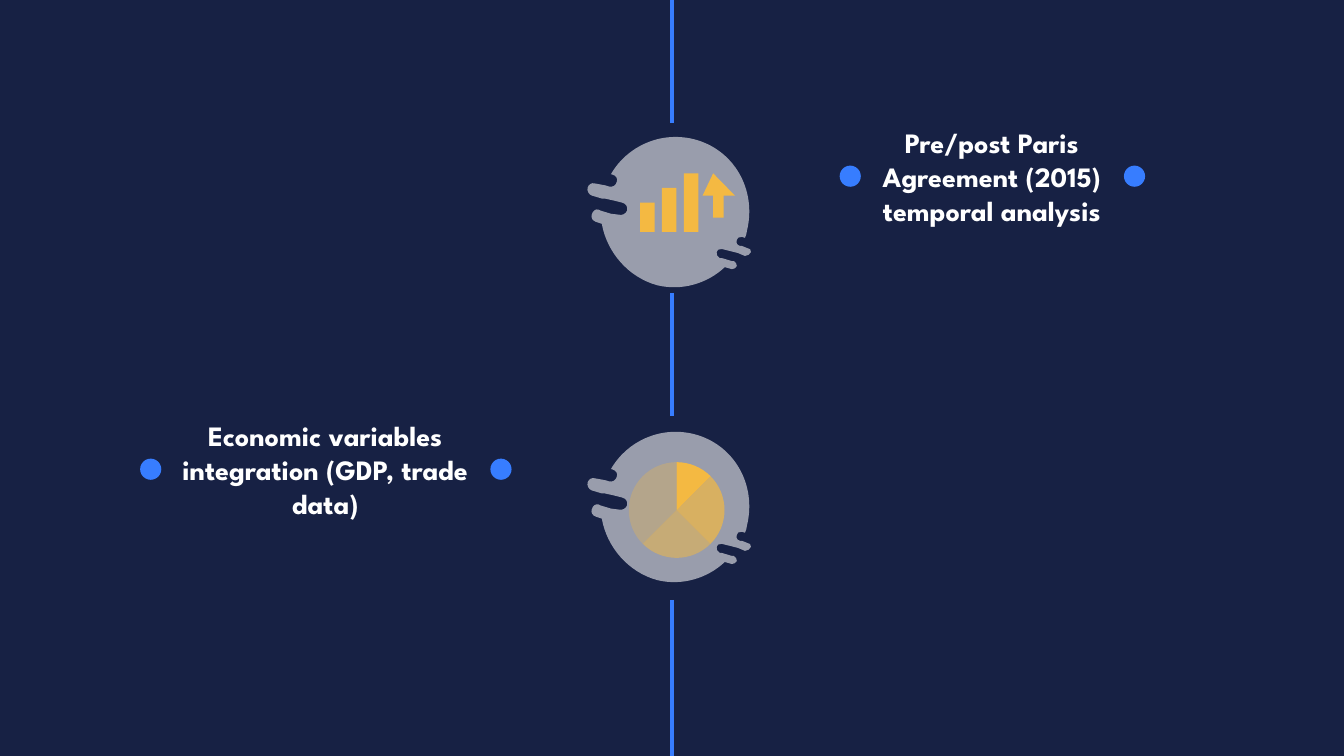
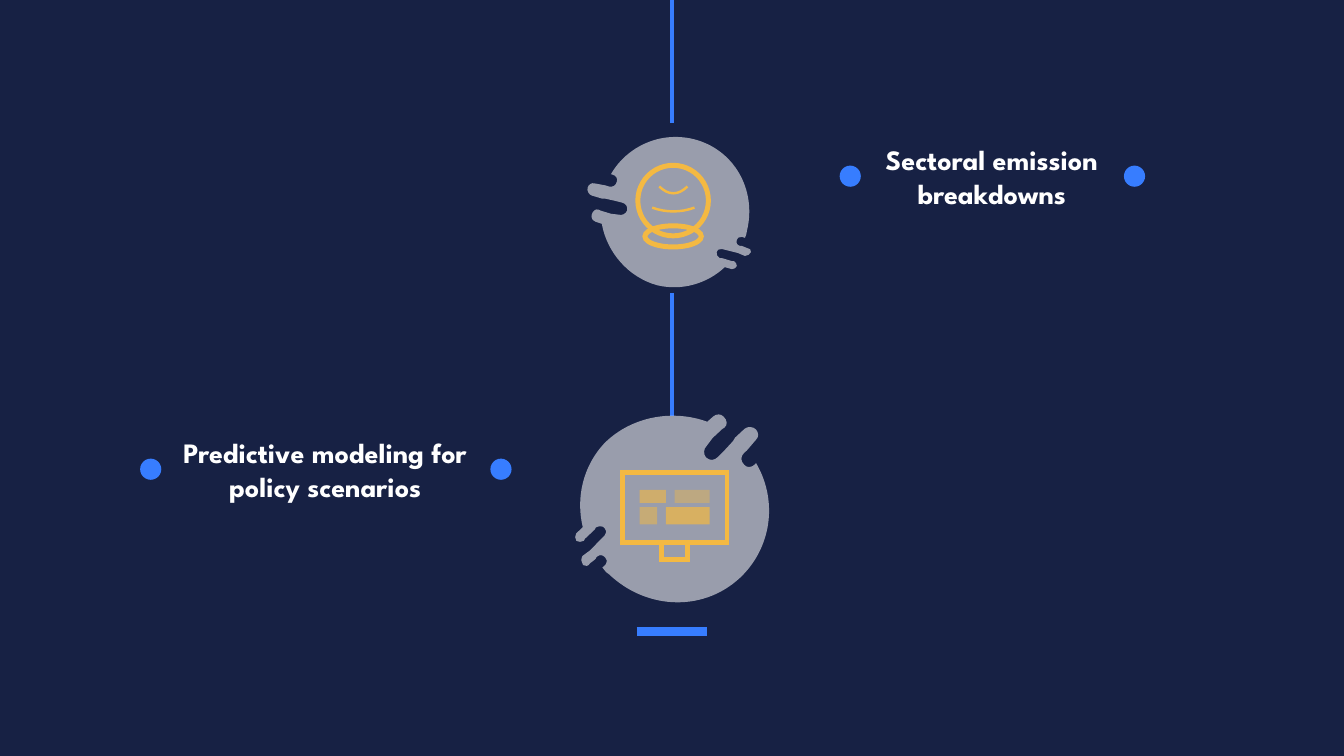
from dataclasses import dataclass
from itertools import pairwise
from math import cos, radians, sin, tan
from typing import Callable

from lxml.etree import Element, SubElement
from pptx import Presentation
from pptx.dml.color import RGBColor
from pptx.enum.shapes import MSO_CONNECTOR as Connector, MSO_SHAPE as Preset
from pptx.enum.text import MSO_ANCHOR as Anchor, MSO_AUTO_SIZE as AutoSize, PP_ALIGN as Align
from pptx.oxml.ns import qn
from pptx.shapes.autoshape import Shape
from pptx.shapes.shapetree import GroupShapes, SlideShapes
from pptx.util import Emu, Inches, Pt

Point = tuple[float, float]
# Two numbers are a corner, six are the control points and end of a Bézier curve.
Segment = tuple[float, ...]
Canvas = SlideShapes | GroupShapes

# Lengths count grid cells; a slide is 75 cells high.
COLUMNS, ROWS = 133.33, 75
CELL = Inches(7.5) / ROWS
SPINE_X = COLUMNS / 2

NAVY, BLUE, AMBER, WHITE = "172144", "377DFF", "F4B942", "FFFFFF"
FONT = "League Spartan"
THICK, THIN = 3.53, 1.75

BADGE_FRAME = (169, 159)
BADGE_START = (5, 64)
BADGE_OUTLINE = [
    (15, 67), (18, 67), (27, 69), (35, 71),
    (39, 72, 41, 75, 40, 79), (39, 82, 35, 84, 32, 83),
    (24, 82), (14, 79), (12, 78),
    (9, 77, 6, 79, 5, 83), (4, 86, 6, 89, 9, 90), (15, 92),
    (20, 120, 41, 145, 70, 153), (95, 159, 120, 151, 137, 135), (144, 137),
    (146, 137, 148, 136, 149, 134), (149, 132, 148, 130, 146, 129),
    (144, 129), (134, 126), (132, 126),
    (130, 125, 128, 122, 129, 120), (129, 118, 131, 117, 134, 117),
    (142, 119), (150, 121), (157, 124),
    (160, 124, 162, 122, 163, 120), (163, 118, 162, 116, 159, 116),
    (154, 114), (152, 114),
    (149, 113, 148, 111, 149, 108), (149, 106, 151, 105, 154, 105), (157, 106),
    (158, 104, 159, 101, 159, 99), (169, 58, 146, 18, 106, 8),
    (73, 0, 40, 15, 24, 43), (25, 43),
    (29, 44, 31, 47, 30, 50), (29, 54, 26, 56, 22, 55),
    (19, 54), (8, 52), (5, 51, 2, 53, 1, 56), (0, 59, 2, 63, 5, 64),
]


@dataclass(frozen=True)
class Box:
    left: float
    top: float
    width: float
    height: float

    def emu(self) -> list[Emu]:
        return [cells(n) for n in (self.left, self.top, self.width, self.height)]


@dataclass(frozen=True)
class Label:
    left: float
    width: float
    centre_y: float
    dots: Point


RIGHT = Label(83.25, 30.3, 17.48, (111.5, 83.3))
LEFT = Label(15.22, 34.1, 46.55, (48.65, 13.9))
UPPER_BADGE = Box(58.2, 13, 16.9, 15.9)
LOWER_BADGE = Box(58.2, 42.25, 16.9, 15.9)
LARGE_BADGE = Box(56.65, 40.05, 21.1, 20.2)


@dataclass(frozen=True)
class Stop:
    """One milestone beside the spine."""
    text: str
    lines: int
    label: Label
    badge: Box
    icon: Callable[[GroupShapes], None]
    turn: float = 0


@dataclass(frozen=True)
class Timeline:
    spine: tuple[Point, ...]
    stops: tuple[Stop, ...]
    end_bar: bool = False


def cells(count: float) -> Emu:
    return Emu(round(count * CELL))


def colour(code: str) -> RGBColor:
    return RGBColor.from_string(code)


def paint(shape: Shape, fill: str, opacity: int = 100) -> None:
    shape.shadow.inherit = False
    shape.line.fill.background()
    shape.fill.solid()
    shape.fill.fore_color.rgb = colour(fill)
    if opacity < 100:
        tint = shape.fill._xPr.find(qn("a:solidFill"))[0]
        SubElement(tint, qn("a:alpha")).set("val", str(opacity * 1000))


def stroke(shape: Shape, width: float) -> None:
    """Leave the shape hollow, with a sharp-cornered amber edge."""
    shape.shadow.inherit = False
    shape.fill.background()
    shape.line.color.rgb = colour(AMBER)
    shape.line.width = Pt(width)
    edge = shape._element.spPr.find(qn("a:ln"))
    SubElement(edge, qn("a:miter")).set("lim", "800000")


def preset(canvas: Canvas, kind: Preset, box: Box) -> Shape:
    return canvas.add_shape(kind, *box.emu())


def outline(canvas: Canvas, start: Point, segments: list[Segment],
            close: bool = True) -> Shape:
    """Build a freeform whose six-number segments become true curves."""
    points = [(cells(x), cells(y)) for segment in segments
              for x, y in zip(segment[::2], segment[1::2])]
    builder = canvas.build_freeform(cells(start[0]), cells(start[1]))
    builder.add_line_segments(points, close=close)
    shape = builder.convert_to_shape()
    strokes = iter(list(shape._element.iter(qn("a:lnTo"))))
    for segment in segments:
        group = [next(strokes) for _ in range(len(segment) // 2)]
        if len(group) == 3:
            curve = Element(qn("a:cubicBezTo"))
            group[0].addprevious(curve)
            for step in group:
                curve.append(step[0])
                step.getparent().remove(step)
    return shape


def add_line(canvas: Canvas, start: Point, end: Point, width: float) -> None:
    ends = [cells(n) for n in (*start, *end)]
    line = canvas.add_connector(Connector.STRAIGHT, *ends)
    line.line.color.rgb = colour(BLUE)
    line.line.width = Pt(width)
    SubElement(line._element.spPr, qn("a:effectLst"))


def add_badge(canvas: Canvas, box: Box, turn: float) -> None:
    origin = (box.left, box.top)
    scale = (box.width / BADGE_FRAME[0], box.height / BADGE_FRAME[1])

    def place(numbers: Segment) -> Segment:
        return tuple(origin[i % 2] + n * scale[i % 2] for i, n in enumerate(numbers))

    badge = outline(canvas, place(BADGE_START), [place(s) for s in BADGE_OUTLINE])
    badge.rotation = turn
    paint(badge, WHITE, 56)


def add_label(canvas: Canvas, label: Label, text: str, lines: int) -> None:
    height = 1 + 3.37 * lines
    box = Box(label.left, label.centre_y - height / 2, label.width, height)
    frame = canvas.add_textbox(*box.emu()).text_frame
    frame.word_wrap = True
    frame.auto_size = AutoSize.SHAPE_TO_FIT_TEXT
    frame.vertical_anchor = Anchor.MIDDLE
    frame.text = text
    caption = frame.paragraphs[0]
    caption.alignment = Align.CENTER
    font = caption.runs[0].font
    font.name, font.size, font.bold = FONT, Pt(20), True
    font.color.rgb = colour(WHITE)
    for left in label.dots:
        dot = preset(canvas, Preset.ROUNDED_RECTANGLE,
                     Box(left, label.centre_y - 1.05, 2.1, 2.1))
        dot.adjustments[0] = 0.5
        paint(dot, BLUE)


def growth_icon(canvas: GroupShapes) -> None:
    base, bar_width, pitch = 23, 1.45, 2.17
    for index, height in enumerate((2.9, 4.35, 5.8)):
        bar = Box(63.5 + index * pitch, base - height, bar_width, height)
        paint(preset(canvas, Preset.RECTANGLE, bar), AMBER)
    arrow = [(72.9, 19.4), (71.8, 19.4), (71.8, 21.6),
             (70.75, 21.6), (70.75, 19.4), (69.7, 19.4)]
    paint(outline(canvas, (70.75, 17.2), arrow), AMBER)


def pie_icon(canvas: GroupShapes) -> None:
    hub, radius = (67.13, 50.6), 4.75

    def polar(angle: float, along: float = 0) -> Point:
        """A rim point, moved along its tangent by a share of the radius."""
        c, s = cos(radians(angle)), sin(radians(angle))
        return hub[0] + radius * (c - along * s), hub[1] + radius * (s + along * c)

    slices = ((-90, -45), (-45, 45), (45, 135), (135, 225, 270))
    for angles, opacity in zip(slices, (100, 70, 50, 30)):
        rim = []
        for start, end in pairwise(angles):
            reach = 4 / 3 * tan(radians(end - start) / 4)
            rim.append((*polar(start, reach), *polar(end, -reach), *polar(end)))
        paint(outline(canvas, polar(angles[0]), [*rim, hub]), AMBER, opacity)


def crystal_ball_icon(canvas: GroupShapes) -> None:
    for ring in (Box(63.28, 16.4, 7, 7), Box(63.98, 22.4, 5.6, 2.1)):
        stroke(preset(canvas, Preset.OVAL, ring), THICK)
    middle = 66.8
    for top, half, sag in ((18.5, 1.4, 0.9), (20.6, 2.1, 0.5)):
        curve = (middle - half / 3, top + sag, middle + half / 3, top + sag,
                 middle + half, top)
        stroke(outline(canvas, (middle - half, top), [curve], close=False), THIN)


def monitor_icon(canvas: GroupShapes) -> None:
    for part in (Box(61.73, 46.9, 10.4, 6.9), Box(65.6, 53.8, 2.6, 1.7)):
        stroke(preset(canvas, Preset.RECTANGLE, part), THICK)
    unit = 0.87
    tile_rows = ((48.6, 1.3, ((3, 60), (4, 40))), (50.3, 1.73, ((2, 50), (5, 70))))
    for top, height, tiles in tile_rows:
        left = 63.45
        for span, opacity in tiles:
            tile = Box(left, top, span * unit, height)
            paint(preset(canvas, Preset.RECTANGLE, tile), AMBER, opacity)
            left += (span + 1) * unit


TIMELINES = (
    Timeline(
        ((0, 12.2), (29.1, 41.25), (59.5, ROWS)),
        (Stop("Pre/post Paris Agreement (2015) temporal analysis", 3,
              RIGHT, UPPER_BADGE, growth_icon),
         Stop("Economic variables integration (GDP, trade data)", 3,
              LEFT, LOWER_BADGE, pie_icon)),
    ),
    Timeline(
        ((0, 12.2), (29.1, 41.25)),
        (Stop("Sectoral emission breakdowns", 2,
              RIGHT, UPPER_BADGE, crystal_ball_icon),
         Stop("Predictive modeling for policy scenarios", 2,
              LEFT, LARGE_BADGE, monitor_icon, turn=120)),
        end_bar=True,
    ),
)


def draw_timeline(canvas: SlideShapes, timeline: Timeline) -> None:
    for top, bottom in timeline.spine:
        add_line(canvas, (SPINE_X, top), (SPINE_X, bottom), 3)
    if timeline.end_bar:
        add_line(canvas, (SPINE_X - 3.5, 62.65), (SPINE_X + 3.5, 62.65), 6)
    for stop in timeline.stops:
        add_badge(canvas, stop.badge, stop.turn)
        add_label(canvas, stop.label, stop.text, stop.lines)
        stop.icon(canvas.add_group_shape().shapes)


def main() -> None:
    deck = Presentation()
    deck.slide_width, deck.slide_height = cells(COLUMNS), cells(ROWS)
    backdrop = deck.slide_master.background.fill
    backdrop.solid()
    backdrop.fore_color.rgb = colour(NAVY)
    for timeline in TIMELINES:
        slide = deck.slides.add_slide(deck.slide_layouts[6])
        draw_timeline(slide.shapes, timeline)
    deck.save("out.pptx")


if __name__ == "__main__":
    main()
